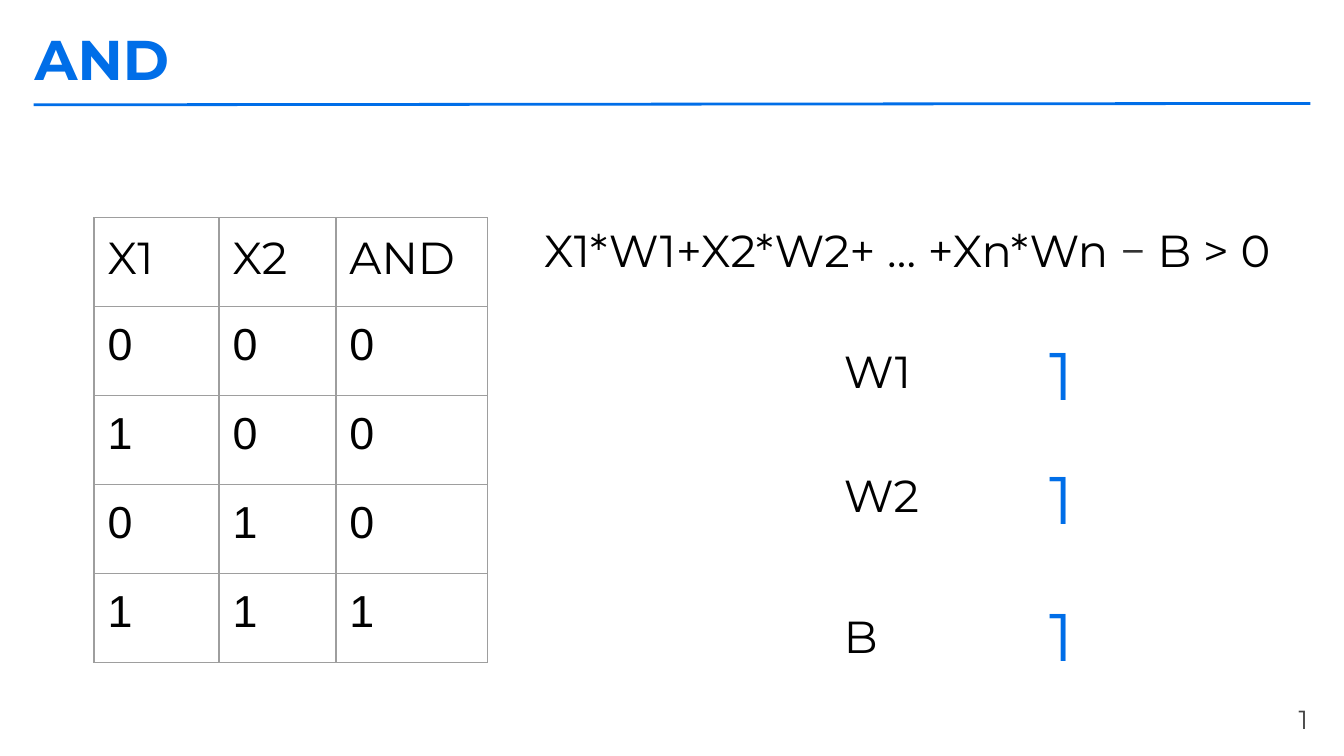
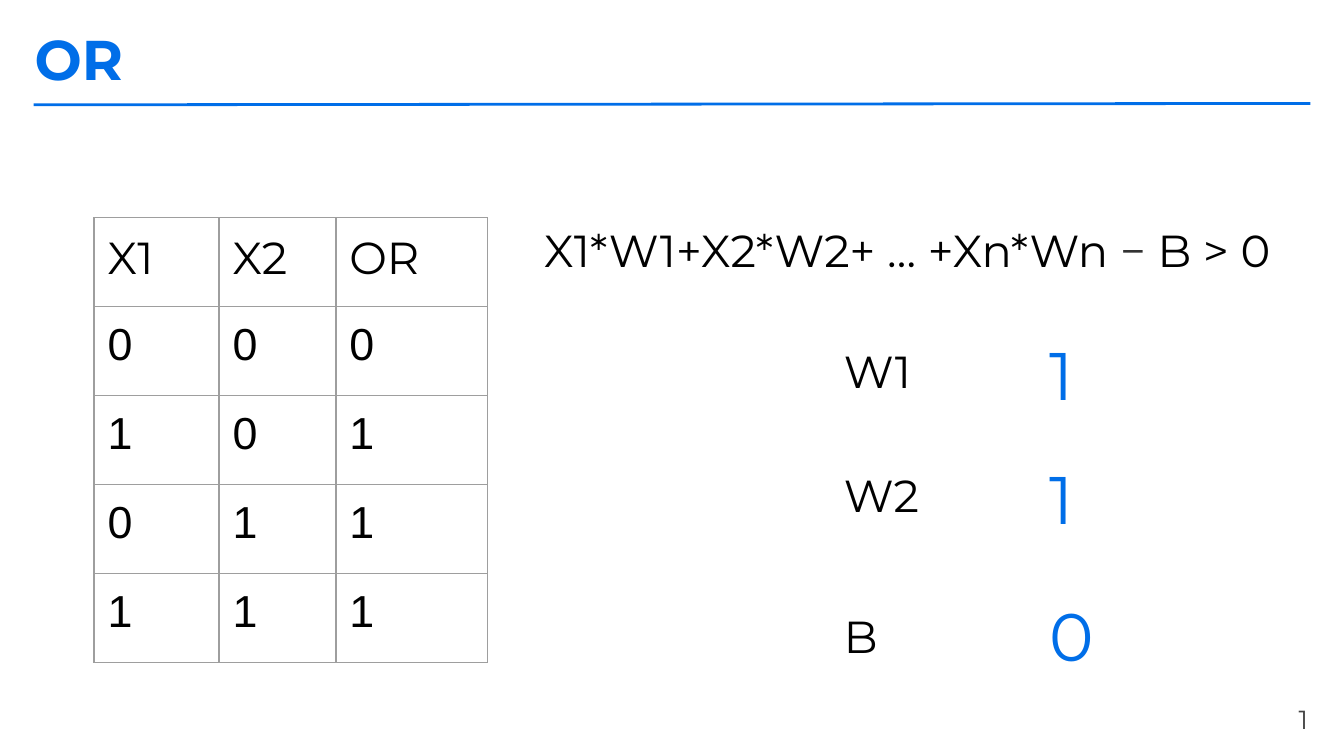
from lxml import etree
from pptx import Presentation
from pptx.dml.color import RGBColor
from pptx.enum.shapes import MSO_CONNECTOR
from pptx.enum.text import PP_ALIGN
from pptx.oxml.ns import qn
from pptx.util import Inches, Pt

LEFT, RIGHT = PP_ALIGN.LEFT, PP_ALIGN.RIGHT
STRAIGHT = MSO_CONNECTOR.STRAIGHT
COLORS = {"blue": "006EE8", "black": "000000", "gray": "434343",
          "minus": "333333", "grid": "9E9E9E"}
PAD = Inches(0.1)
WIDTHS = [0.93, 0.87, 1.13]
TALL = 3.31
INPUTS = [(0, 0), (1, 0), (0, 1), (1, 1)]
# Name, label top, value top
TERMS = [("W1", 2.46, 2.38), ("W2", 3.38, 3.3), ("B", 4.43, 4.32)]
FORMULA = [("X1*W1+X2*W2+ … +Xn*Wn ", "black"), ("−", "minus"), (" B > 0", "black")]
# Gate, outputs in the order of INPUTS, values in the order of TERMS
GATES = [("AND", [0, 0, 0, 1], [1, 1, 1]),
         ("OR", [0, 1, 1, 1], [1, 1, 0])]


def write(frame, text, size=24, font="Montserrat", color="black", bold=False, align=LEFT):
    """Fill a text frame with a string or a list of (text, color) runs."""
    frame.word_wrap = True
    frame.margin_left = frame.margin_right = PAD
    frame.margin_top = frame.margin_bottom = PAD
    para = frame.paragraphs[0]
    para.alignment = align
    parts = [(text, color)] if isinstance(text, str) else text
    for words, tint in parts:
        run = para.add_run()
        run.text = words
        run.font.size = Pt(size)
        run.font.name = font
        run.font.bold = bold
        run.font.color.rgb = RGBColor.from_string(COLORS[tint])


def add_text(slide, text, left, top, width, height, **style):
    box = slide.shapes.add_textbox(Inches(left), Inches(top), Inches(width), Inches(height))
    write(box.text_frame, text, **style)


deck = Presentation()
deck.slide_width = Inches(10)
deck.slide_height = deck.slide_width * 9 // 16

for gate, outs, values in GATES:
    slide = deck.slides.add_slide(deck.slide_layouts[6])

    # Title, rule and page number
    add_text(slide, gate, 0.16, 0.08, 7.51, 0.7, size=30, color="blue", bold=True)
    rule = slide.shapes.add_connector(STRAIGHT, Inches(0.25), Inches(0.78),
                                      Inches(9.75), Inches(0.77))
    rule.line.color.rgb = RGBColor.from_string(COLORS["blue"])
    rule.line.width = Pt(1.5)
    etree.SubElement(rule._element.spPr, qn("a:effectLst"))
    add_text(slide, "1", 9.24, 5.13, 0.59, 0.39, size=14, color="gray", align=RIGHT)

    # Formula with its weights and bias
    add_text(slide, FORMULA, 3.95, 1.56, 5.69, 0.58)
    for name, top, _ in TERMS:
        add_text(slide, name, 6.18, top, 0.78, 0.7)
    for (_, _, top), value in zip(TERMS, values):
        add_text(slide, str(value), 7.71, top, 0.53, 0.58, size=36, color="blue")

    # Truth table
    rows = [("X1", "X2", gate)] + [(*pair, out) for pair, out in zip(INPUTS, outs)]
    table = slide.shapes.add_table(len(rows), len(WIDTHS), Inches(0.7), Inches(1.62),
                                   Inches(sum(WIDTHS)), Inches(TALL)).table
    table.first_row = table.horz_banding = False
    for col, width in zip(table.columns, WIDTHS):
        col.width = Inches(width)
    for r, row in enumerate(rows):
        table.rows[r].height = Inches(TALL / len(rows))
        for c, item in enumerate(row):
            cell = table.cell(r, c)
            write(cell.text_frame, str(item), font="Arial" if r else "Montserrat")
            cell.margin_left = cell.margin_right = PAD
            cell.margin_top = cell.margin_bottom = PAD
            props = cell._tc.get_or_add_tcPr()
            for side in ("lnL", "lnR", "lnT", "lnB"):
                edge = etree.SubElement(props, qn(f"a:{side}"), w=str(Pt(0.75)))
                fill = etree.SubElement(edge, qn("a:solidFill"))
                etree.SubElement(fill, qn("a:srgbClr"), val=COLORS["grid"])
            cell.fill.background()

deck.save("out.pptx")
